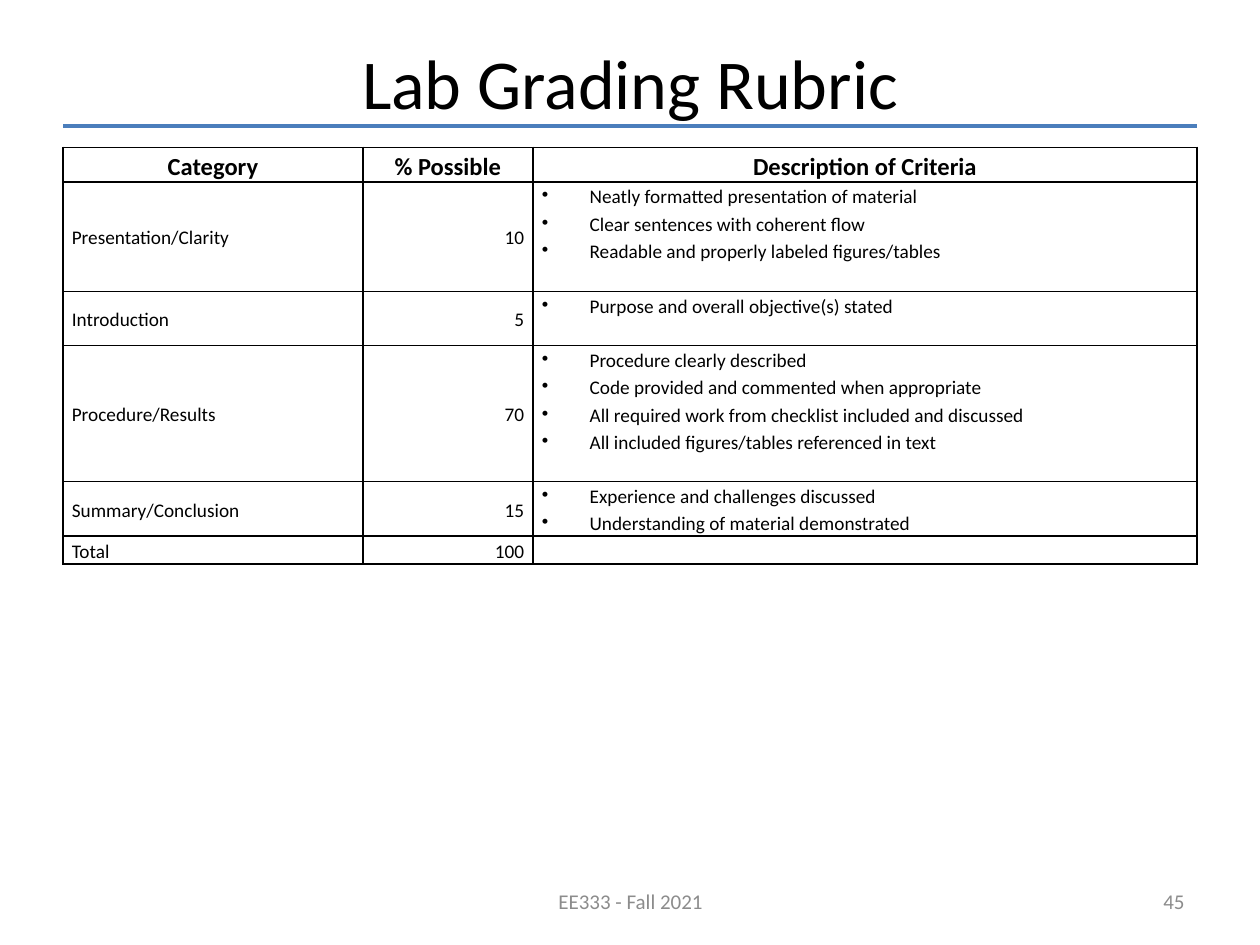
from dataclasses import dataclass

from lxml.etree import SubElement
from pptx import Presentation
from pptx.dml.color import RGBColor
from pptx.enum.shapes import MSO_CONNECTOR
from pptx.enum.text import MSO_ANCHOR, PP_ALIGN
from pptx.oxml import parse_xml
from pptx.oxml.ns import nsdecls, qn
from pptx.util import Inches, Pt

FONT = "Calibri"
BLACK = "000000"
GRAY = "8C8C8C"
BLUE = "4B7EBC"
LEFT = 0.5
WIDTH = 9
COLUMN_WIDTHS = (2.38, 1.35, 5.27)
HEADINGS = ("Category", "% Possible", "Description of Criteria")
HEADING_HEIGHT = 0.27
BULLET_INDENT = 0.38


@dataclass
class Criterion:
    category: str
    percent: int
    height: float
    points: tuple[str, ...] = ()


CRITERIA = (
    Criterion("Presentation/Clarity", 10, 0.87, (
        "Neatly formatted presentation of material",
        "Clear sentences with coherent flow",
        "Readable and properly labeled figures/tables",
    )),
    Criterion("Introduction", 5, 0.43, ("Purpose and overall objective(s) stated",)),
    Criterion("Procedure/Results", 70, 1.08, (
        "Procedure clearly described",
        "Code provided and commented when appropriate",
        "All required work from checklist included and discussed",
        "All included figures/tables referenced in text",
    )),
    Criterion("Summary/Conclusion", 15, 0.43, (
        "Experience and challenges discussed",
        "Understanding of material demonstrated",
    )),
    Criterion("Total", 100, 0.22),
)


def color(value: str) -> RGBColor:
    return RGBColor.from_string(value)


def format_paragraph(paragraph, size: float, alignment, text_color=BLACK, bold=False) -> None:
    paragraph.alignment = alignment
    paragraph.font.name = FONT
    paragraph.font.size = Pt(size)
    paragraph.font.bold = bold
    paragraph.font.color.rgb = color(text_color)


def add_bullet(paragraph) -> None:
    properties = paragraph._p.get_or_add_pPr()
    properties.set("marL", str(Inches(BULLET_INDENT)))
    properties.set("indent", str(-Inches(BULLET_INDENT)))
    bullet = parse_xml(f'<a:buChar {nsdecls("a")} char="•"/>')
    properties.insert_element_before(bullet, "a:tabLst", "a:defRPr", "a:extLst")


def add_borders(cell) -> None:
    properties = cell._tc.get_or_add_tcPr()
    for index, side in enumerate(("lnL", "lnR", "lnT", "lnB")):
        properties.insert(index, parse_xml(
            f'<a:{side} {nsdecls("a")} w="{Pt(1)}"><a:solidFill>'
            f'<a:srgbClr val="{BLACK}"/></a:solidFill></a:{side}>'
        ))


def fill_cell(cell, lines: tuple[str, ...], size=11, alignment=PP_ALIGN.LEFT,
              bold=False, bulleted=False) -> None:
    cell.margin_left = cell.margin_right = Inches(0.07)
    cell.margin_top = cell.margin_bottom = 0
    cell.vertical_anchor = MSO_ANCHOR.TOP if bulleted else MSO_ANCHOR.MIDDLE
    cell.fill.background()
    add_borders(cell)
    frame = cell.text_frame
    frame.text = "\n".join(lines)
    for paragraph in frame.paragraphs:
        format_paragraph(paragraph, size, alignment, bold=bold)
        paragraph.line_spacing = 1.15
        if bulleted and lines:
            add_bullet(paragraph)
        if not lines:
            SubElement(paragraph._p, qn("a:endParaRPr"), sz=str(size * 100))


def add_rubric(slide) -> None:
    height = HEADING_HEIGHT + sum(criterion.height for criterion in CRITERIA)
    table = slide.shapes.add_table(
        len(CRITERIA) + 1, len(HEADINGS),
        Inches(LEFT), Inches(1.17), Inches(WIDTH), Inches(height),
    ).table
    table.first_row = False
    table.horz_banding = False
    for column, width in zip(table.columns, COLUMN_WIDTHS):
        column.width = Inches(width)
    table.rows[0].height = Inches(HEADING_HEIGHT)
    for cell, heading in zip(table.rows[0].cells, HEADINGS):
        fill_cell(cell, (heading,), 14, PP_ALIGN.CENTER, bold=True)
    for index, criterion in enumerate(CRITERIA, start=1):
        table.rows[index].height = Inches(criterion.height)
        fill_cell(table.cell(index, 0), (criterion.category,))
        fill_cell(table.cell(index, 1), (str(criterion.percent),), alignment=PP_ALIGN.RIGHT)
        fill_cell(table.cell(index, 2), criterion.points, bulleted=True)


def add_title(slide, text: str) -> None:
    title = slide.shapes.title
    title.left, title.top = Inches(LEFT), Inches(0.3)
    title.width, title.height = Inches(WIDTH), Inches(0.7)
    title.text_frame.text = text
    title.text_frame.vertical_anchor = MSO_ANCHOR.MIDDLE
    format_paragraph(title.text_frame.paragraphs[0], 40, PP_ALIGN.CENTER)


def add_title_rule(slide) -> None:
    rule = slide.shapes.add_connector(
        MSO_CONNECTOR.STRAIGHT, Inches(LEFT), Inches(1), Inches(LEFT + WIDTH), Inches(1)
    )
    rule.line.color.rgb = color(BLUE)
    rule.line.width = Pt(2)
    SubElement(rule._element.spPr, qn("a:effectLst"))


def add_footer(slide, text: str, left: float, width: float, alignment) -> None:
    box = slide.shapes.add_textbox(Inches(left), Inches(6.95), Inches(width), Inches(0.4))
    frame = box.text_frame
    frame.word_wrap = True
    frame.vertical_anchor = MSO_ANCHOR.MIDDLE
    frame.text = text
    format_paragraph(frame.paragraphs[0], 12, alignment, GRAY)


def main() -> None:
    presentation = Presentation()
    presentation.slide_width = Inches(10)
    presentation.slide_height = Inches(7.5)
    slide = presentation.slides.add_slide(presentation.slide_layouts[5])
    add_title_rule(slide)
    add_title(slide, "Lab Grading Rubric")
    add_rubric(slide)
    add_footer(slide, "EE333 - Fall 2021", 3.42, 3.17, PP_ALIGN.CENTER)
    add_footer(slide, "45", 7.17, 2.33, PP_ALIGN.RIGHT)
    presentation.save("out.pptx")


if __name__ == "__main__":
    main()
